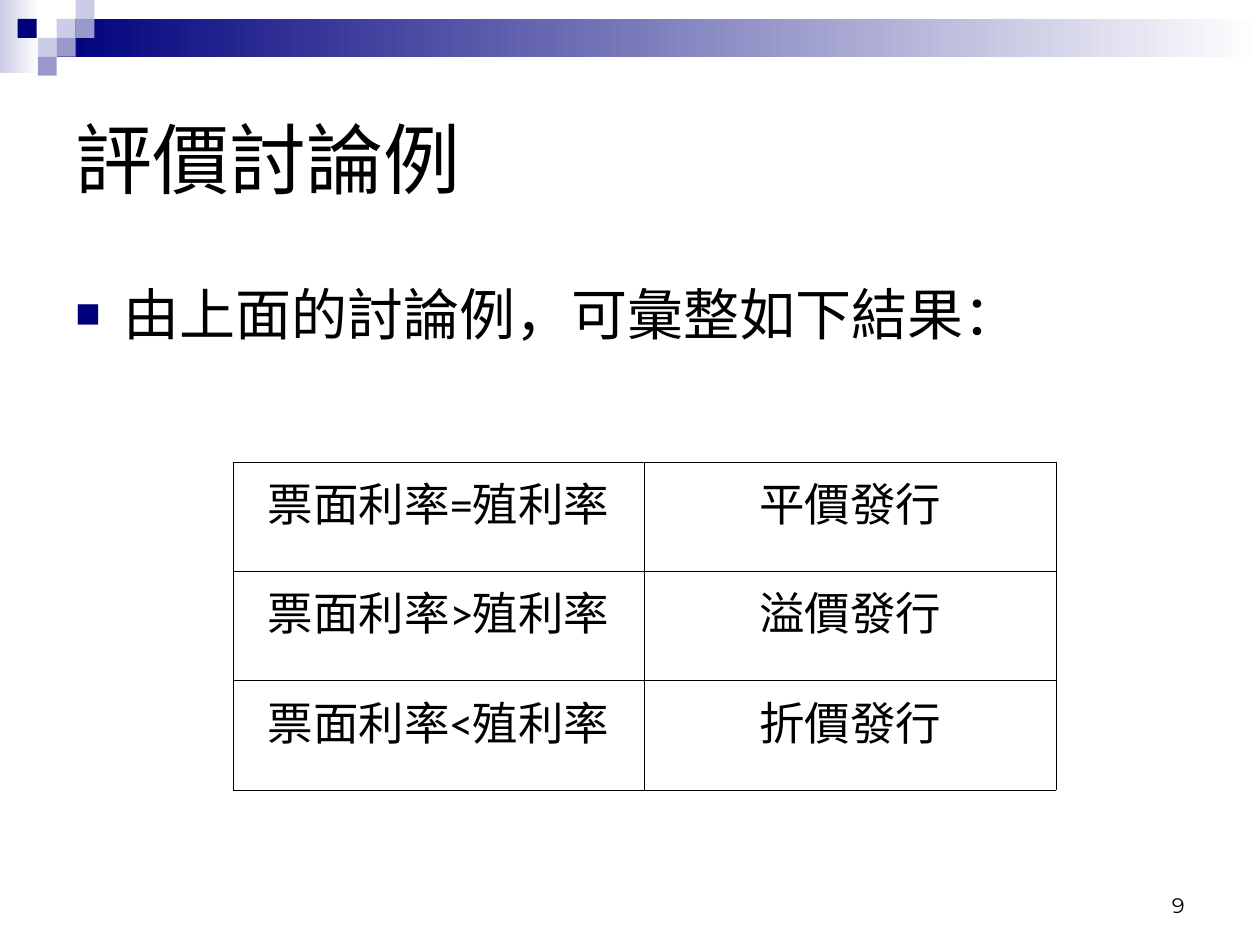
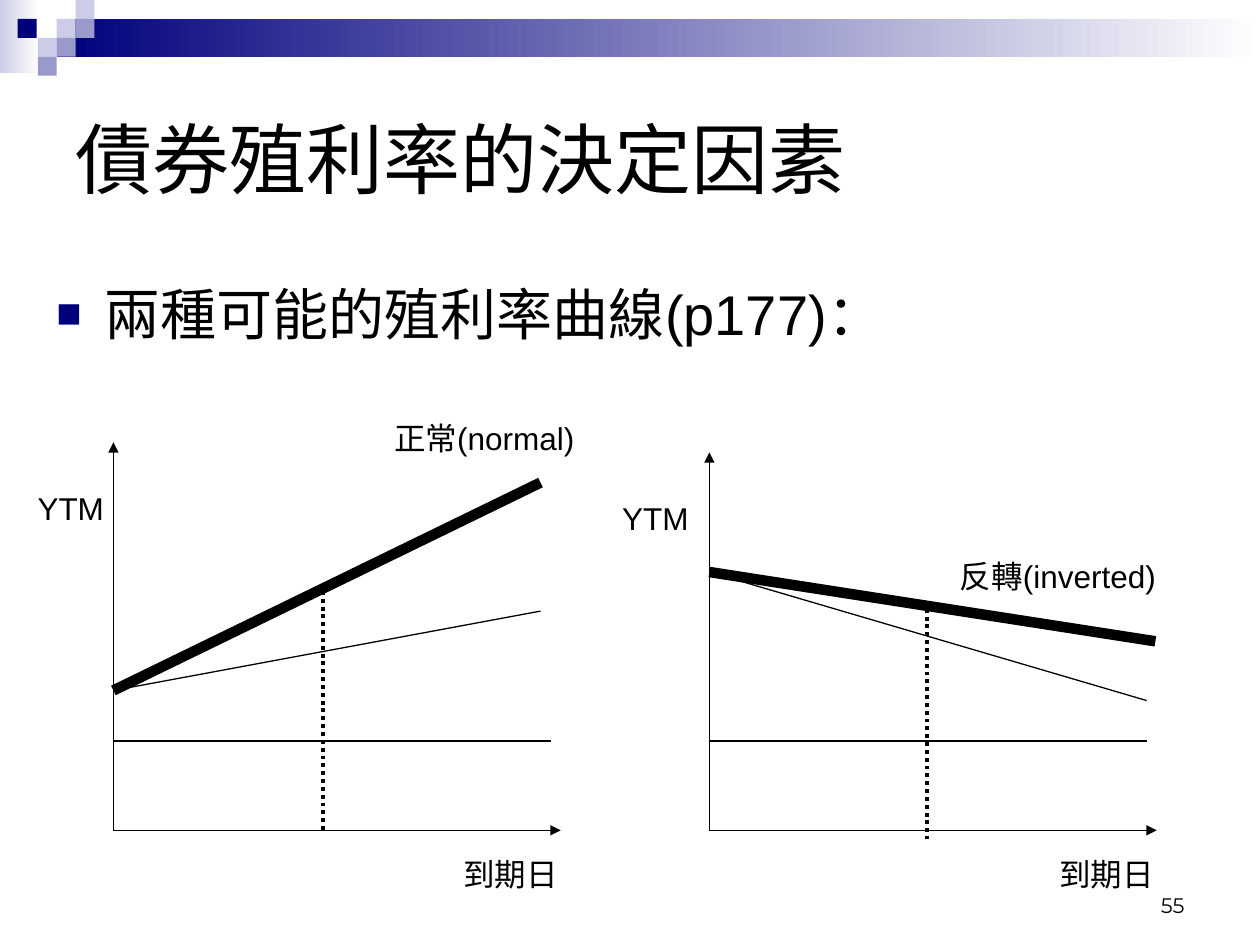
from lxml import etree
from pptx import Presentation
from pptx.dml.color import RGBColor
from pptx.enum.dml import MSO_LINE
from pptx.enum.shapes import MSO_CONNECTOR, MSO_SHAPE
from pptx.enum.text import MSO_ANCHOR, PP_ALIGN
from pptx.oxml.ns import qn
from pptx.util import Inches, Pt

RECTANGLE = MSO_SHAPE.RECTANGLE
STRAIGHT = MSO_CONNECTOR.STRAIGHT
DOTTED = MSO_LINE.ROUND_DOT
TOP, MIDDLE, BOTTOM = MSO_ANCHOR.TOP, MSO_ANCHOR.MIDDLE, MSO_ANCHOR.BOTTOM
LEFT, CENTER, RIGHT = PP_ALIGN.LEFT, PP_ALIGN.CENTER, PP_ALIGN.RIGHT

COLORS = {"navy": "00007D", "violet": "9999CC", "lilac": "CCCCE6",
          "white": "FFFFFF", "black": "000000"}
BODY_FONT, TABLE_FONT, NUMBER_FONT = "Arial", "Calibri", "Montserrat"
CJK_FONT = "Noto Sans CJK TC"
TILE = 0.15
TILES = [(0.45, 0.15, "lilac"), (0.6, 0, "lilac"), (0.6, 0.15, "violet"),
         (0.3, 0.3, "lilac"), (0.14, 0.15, "navy"), (0.45, 0.3, "violet"),
         (0.3, 0.45, "violet")]

ISSUE_RULES = [("票面利率=殖利率", "平價發行"),
               ("票面利率>殖利率", "溢價發行"),
               ("票面利率<殖利率", "折價發行")]

NORMAL_CURVE = {
    "axis_height": 3.08, "start": 1.11, "thick_end": (3.39, 2.76),
    "thin_end": (3.39, 1.74), "maturity": (1.66, 1.9, 0),
    "rate_label": (-0.7, 2.76), "name": "正常(normal)",
    "name_box": (2.13, 3.31, 1.81)}
INVERTED_CURVE = {
    "axis_height": 3, "start": 2.05, "thick_end": (3.54, 1.5),
    "thin_end": (3.47, 1.03), "maturity": (1.73, 1.82, -0.07),
    "rate_label": (-0.79, 2.68), "name": "反轉(inverted)",
    "name_box": (1.89, 2.22, 1.97)}


def rgb(name):
    """Return the palette colour called name."""
    return RGBColor.from_string(COLORS[name])


def add_child(parent, tag, **attributes):
    """Append a drawing element to parent."""
    return etree.SubElement(parent, qn(tag), attributes)


def write_run(paragraph, text, size, font=BODY_FONT):
    """Add one black run to a paragraph."""
    run = paragraph.add_run()
    run.text = text
    run.font.size = Pt(size)
    run.font.color.rgb = rgb("black")
    run.font.name = font
    add_child(run.font._element, "a:ea", typeface=CJK_FONT)


def add_text(slide, box, text, size, font=BODY_FONT, anchor=TOP, align=LEFT, before=0):
    """Add a one-paragraph text box and return the paragraph."""
    frame = slide.shapes.add_textbox(*map(Inches, box)).text_frame
    frame.word_wrap = True
    frame.vertical_anchor = anchor
    paragraph = frame.paragraphs[0]
    paragraph.alignment = align
    paragraph.space_before = Pt(before)
    write_run(paragraph, text, size, font)
    return paragraph


def add_block(slide, box, color, fade=False):
    """Add a borderless rectangle, optionally fading to white."""
    block = slide.shapes.add_shape(RECTANGLE, *map(Inches, box))
    block.shadow.inherit = False
    block.line.fill.background()
    if fade:
        block.fill.gradient()
        block.fill.gradient_angle = 0
        for stop, position, name in zip(block.fill.gradient_stops, (0, 1), (color, "white")):
            stop.position = position
            stop.color.rgb = rgb(name)
    else:
        block.fill.solid()
        block.fill.fore_color.rgb = rgb(color)


def add_line(slide, start, end, width=0.75, arrow=False, dotted=False):
    """Add a straight black line between two points."""
    line = slide.shapes.add_connector(STRAIGHT, *map(Inches, (*start, *end)))
    line.line.color.rgb = rgb("black")
    line.line.width = Pt(width)
    if dotted:
        line.line.dash_style = DOTTED
    if arrow:
        add_child(line.line._get_or_add_ln(), "a:tailEnd", type="triangle")
    add_child(line._element.spPr, "a:effectLst")


def add_header(slide):
    """Draw the fading band and its mosaic of tiles."""
    add_block(slide, (0, 0, 0.31, 0.58), "lilac", fade=True)
    add_block(slide, (0.45, 0.15, 9.55, 0.3), "navy", fade=True)
    for left, top, color in TILES:
        add_block(slide, (left, top, TILE, TILE), color)


def add_bullet(slide, box, text):
    """Add a text line led by a navy square."""
    paragraph = add_text(slide, box, text, 32, before=8)
    properties = paragraph._p.get_or_add_pPr()
    properties.set("marL", str(Inches(0.38)))
    properties.set("indent", str(Inches(-0.38)))
    add_child(add_child(properties, "a:buClr"), "a:srgbClr", val=COLORS["navy"])
    add_child(properties, "a:buSzPct", val="75000")
    add_child(properties, "a:buFont", typeface=BODY_FONT)
    add_child(properties, "a:buChar", char="■")


def add_base_slide(presentation, title, number):
    """Add a slide with header, title and page number."""
    slide = presentation.slides.add_slide(presentation.slide_layouts[6])
    add_header(slide)
    add_text(slide, (0.5, 0.5, 9, 1.5), title, 44, anchor=MIDDLE)
    add_text(slide, (7.17, 6.83, 2.33, 0.5), number, 12, NUMBER_FONT, BOTTOM, RIGHT)
    return slide


def add_borders(cell):
    """Draw a thin black line on each side of a cell."""
    properties = cell._tc.get_or_add_tcPr()
    for side in ("a:lnL", "a:lnR", "a:lnT", "a:lnB"):
        border = add_child(properties, side, w=str(Pt(0.45)))
        add_child(add_child(border, "a:solidFill"), "a:srgbClr", val=COLORS["black"])


def add_issue_table(slide, box):
    """Add the table that maps rate comparisons to issue prices."""
    table = slide.shapes.add_table(
        len(ISSUE_RULES), len(ISSUE_RULES[0]), *map(Inches, box)).table
    table.first_row = table.horz_banding = False
    for row, texts in zip(table.rows, ISSUE_RULES):
        for cell, text in zip(row.cells, texts):
            cell.margin_left = cell.margin_right = Inches(0.07)
            add_borders(cell)
            cell.fill.background()
            paragraph = cell.text_frame.paragraphs[0]
            paragraph.alignment = CENTER
            write_run(paragraph, text, 26, TABLE_FONT)


def add_yield_plot(slide, left, base, curve):
    """Draw a yield curve sketch with its origin at left, base."""
    def point(across, up):
        return left + across, base - up

    def label(across, up, width, text):
        add_text(slide, (*point(across, up), width, 0.4), text, 18, before=11.2)

    origin, start = point(0, 0), point(0, curve["start"])
    across, upper, lower = curve["maturity"]
    add_line(slide, origin, point(0, curve["axis_height"]), arrow=True)
    add_line(slide, origin, point(3.55, 0), arrow=True)
    add_line(slide, point(0, 0.71), point(3.47, 0.71))
    add_line(slide, start, point(*curve["thin_end"]))
    add_line(slide, start, point(*curve["thick_end"]), width=6)
    add_line(slide, point(across, upper), point(across, lower), width=2.25, dotted=True)
    label(*curve["rate_label"], 0.9, "YTM")
    label(*curve["name_box"], curve["name"])
    label(2.68, -0.15, 1.1, "到期日")


def build_valuation_slide(presentation):
    """Build the slide that sums up the valuation examples."""
    slide = add_base_slide(presentation, "評價討論例", "9")
    add_bullet(slide, (0.5, 2.17, 9, 4.25), "由上面的討論例，可彙整如下結果：")
    add_issue_table(slide, (1.85, 3.67, 6.53, 2.6))


def build_yield_slide(presentation):
    """Build the slide that compares two yield curves."""
    slide = add_base_slide(presentation, "債券殖利率的決定因素", "55")
    add_bullet(slide, (0.35, 2.17, 9.37, 4.97), "兩種可能的殖利率曲線(p177)：")
    for left, curve in ((0.9, NORMAL_CURVE), (5.63, INVERTED_CURVE)):
        add_yield_plot(slide, left, 6.59, curve)


def main():
    """Build and save the presentation."""
    presentation = Presentation()
    presentation.slide_width = Inches(10)
    presentation.slide_height = Inches(7.5)
    build_valuation_slide(presentation)
    build_yield_slide(presentation)
    presentation.save("out.pptx")


if __name__ == "__main__":
    main()
